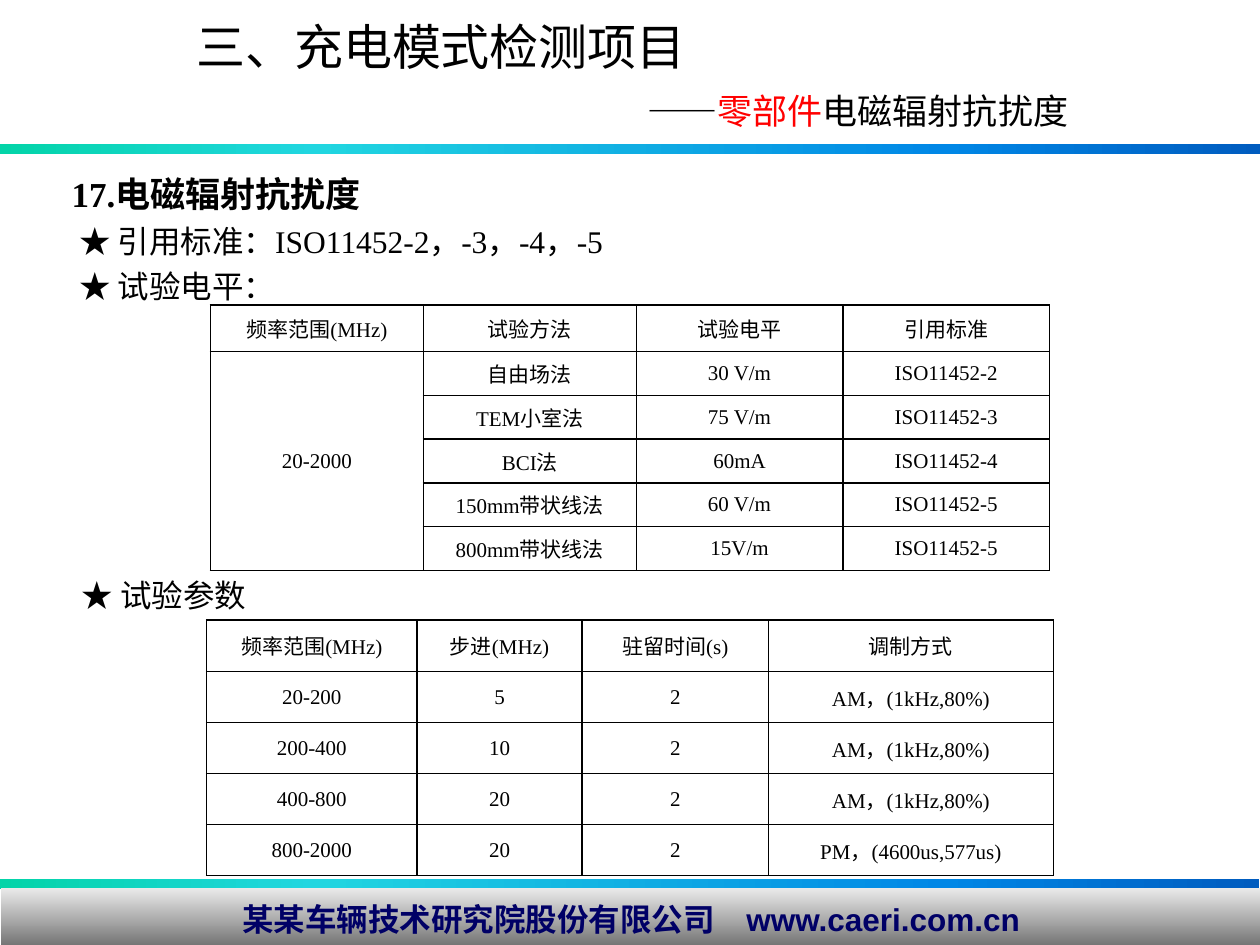
"""Build the slide on charging-mode radiated immunity tests."""
from dataclasses import dataclass

from lxml import etree
from pptx import Presentation
from pptx.dml.color import RGBColor
from pptx.enum.shapes import MSO_SHAPE
from pptx.enum.text import MSO_ANCHOR, PP_ALIGN
from pptx.oxml.ns import qn
from pptx.util import Inches, Pt

RECTANGLE = MSO_SHAPE.RECTANGLE
MIDDLE = MSO_ANCHOR.MIDDLE
CENTER = PP_ALIGN.CENTER
COLORS = {"text": "000000", "accent": "FF0000", "footer": "000066"}
STRIPE_STOPS = ((0, "03D4A8"), (25, "21D6E0"), (75, "0087E6"), (100, "005CBF"))
FOOTER_STOPS = ((0, "EAEAEA"), (100, "6C6C6C"))
SERIF = "Times New Roman"


@dataclass(frozen=True)
class Band:
    left: float
    top: float
    width: float
    height: float
    stops: tuple
    angle: int = 0


@dataclass(frozen=True)
class Grid:
    left: float
    top: float
    height: float
    header_height: float
    widths: tuple
    rows: tuple
    merged_column: bool = False


STRIPES = (
    Band(0, 6.98, 9.99, 0.08, STRIPE_STOPS),
    Band(0, 1.14, 10, 0.08, STRIPE_STOPS),
)
FOOTER = Band(0.01, 7.05, 10, 0.49, FOOTER_STOPS, 270)
LEVELS = Grid(1.67, 2.42, 2.11, 0.37, (1.69, 1.69, 1.64, 1.64), (
    ("频率范围(MHz)", "试验方法", "试验电平", "引用标准"),
    ("20-2000", "自由场法", "30 V/m", "ISO11452-2"),
    ("", "TEM小室法", "75 V/m", "ISO11452-3"),
    ("", "BCI法", "60mA", "ISO11452-4"),
    ("", "150mm带状线法", "60 V/m", "ISO11452-5"),
    ("", "800mm带状线法", "15V/m", "ISO11452-5"),
), merged_column=True)
PARAMETERS = Grid(1.64, 4.92, 2.03, 0.41, (1.67, 1.31, 1.48, 2.26), (
    ("频率范围(MHz)", "步进(MHz)", "驻留时间(s)", "调制方式"),
    ("20-200", "5", "2", "AM，(1kHz,80%)"),
    ("200-400", "10", "2", "AM，(1kHz,80%)"),
    ("400-800", "20", "2", "AM，(1kHz,80%)"),
    ("800-2000", "20", "2", "PM，(4600us,577us)"),
))


def write(paragraph, text: str, *, size: float, font: str = SERIF,
          color: str = "text", bold: bool = False) -> None:
    run = paragraph.add_run()
    run.text = text
    run.font.size = Pt(size)
    run.font.name = font
    run.font.bold = bold
    run.font.color.rgb = RGBColor.from_string(COLORS[color])


def draw_band(slide, band: Band):
    shape = slide.shapes.add_shape(
        RECTANGLE, Inches(band.left), Inches(band.top),
        Inches(band.width), Inches(band.height))
    shape.shadow.inherit = False
    shape.line.fill.background()
    shape.fill.gradient()
    shape.fill.gradient_angle = band.angle
    stop_list = shape._element.spPr.find(qn("a:gradFill")).find(qn("a:gsLst"))
    for old_stop in list(stop_list):
        stop_list.remove(old_stop)
    for position, color in band.stops:
        stop = etree.SubElement(stop_list, qn("a:gs"), pos=str(position * 1000))
        etree.SubElement(stop, qn("a:srgbClr"), val=color)
    return shape


def add_frame(slide, left: float, top: float, width: float, height: float,
              wrap: bool = True):
    frame = slide.shapes.add_textbox(
        Inches(left), Inches(top), Inches(width), Inches(height)).text_frame
    frame.word_wrap = wrap
    return frame


def add_borders(cell) -> None:
    properties = cell._tc.get_or_add_tcPr()
    for side in ("lnL", "lnR", "lnT", "lnB"):
        border = etree.SubElement(properties, qn(f"a:{side}"), w=str(Pt(1)))
        fill = etree.SubElement(border, qn("a:solidFill"))
        etree.SubElement(fill, qn("a:srgbClr"), val=COLORS["text"])


def draw_grid(slide, grid: Grid) -> None:
    table = slide.shapes.add_table(
        len(grid.rows), len(grid.widths), Inches(grid.left), Inches(grid.top),
        Inches(sum(grid.widths)), Inches(grid.height)).table
    table.first_row = False
    table.horz_banding = False
    for column, width in zip(table.columns, grid.widths):
        column.width = Inches(width)
    body_height = (grid.height - grid.header_height) / (len(grid.rows) - 1)
    for index, values in enumerate(grid.rows):
        table.rows[index].height = Inches(body_height if index else grid.header_height)
        for cell, value in zip(table.rows[index].cells, values):
            add_borders(cell)
            cell.fill.background()
            cell.vertical_anchor = MIDDLE
            cell.margin_left = cell.margin_right = Inches(0.07)
            cell.margin_top = cell.margin_bottom = 0
            paragraph = cell.text_frame.paragraphs[0]
            paragraph.alignment = CENTER
            if value:
                write(paragraph, value, size=12)
    if grid.merged_column:
        table.cell(1, 0).merge(table.cell(len(grid.rows) - 1, 0))


def draw_footer(slide) -> None:
    frame = draw_band(slide, FOOTER).text_frame
    frame.vertical_anchor = MIDDLE
    frame.paragraphs[0].alignment = CENTER
    write(frame.paragraphs[0], "某某车辆技术研究院股份有限公司　www.caeri.com.cn",
          size=18, font="Arial", color="footer", bold=True)


def draw_title(slide) -> None:
    frame = add_frame(slide, 1.46, 0.08, 8.31, 1.02)
    frame.vertical_anchor = MIDDLE
    write(frame.paragraphs[0], "三、充电模式检测项目", size=28, font="Calibri")
    subtitle = frame.add_paragraph()
    subtitle.space_before = Pt(8)
    subtitle._p.get_or_add_pPr().set("marL", str(Inches(3.58)))
    for text, color in (("——", "text"), ("零部件", "accent"), ("电磁辐射抗扰度", "text")):
        write(subtitle, text, size=20, font="Calibri", color=color)


def draw_requirements(slide) -> None:
    frame = add_frame(slide, 0.47, 1.25, 8.91, 1.23)
    heading = frame.paragraphs[0]
    heading.line_spacing = 1.2
    write(heading, "17.电磁辐射抗扰度", size=20, bold=True)
    for text in ("★ 引用标准：ISO11452-2，-3，-4，-5", "★ 试验电平："):
        item = frame.add_paragraph()
        item.line_spacing = 1.2
        item._p.get_or_add_pPr().set("marL", str(Inches(0.06)))
        write(item, text, size=18)


def main() -> None:
    deck = Presentation()
    deck.slide_width, deck.slide_height = Inches(10), Inches(7.5)
    slide = deck.slides.add_slide(deck.slide_layouts[6])
    for stripe in STRIPES:
        draw_band(slide, stripe)
    draw_footer(slide)
    draw_title(slide)
    draw_requirements(slide)
    draw_grid(slide, LEVELS)
    parameters_label = add_frame(slide, 0.55, 4.52, 1.53, 0.4, wrap=False)
    write(parameters_label.paragraphs[0], "★ 试验参数", size=18)
    draw_grid(slide, PARAMETERS)
    deck.save("out.pptx")


if __name__ == "__main__":
    main()
